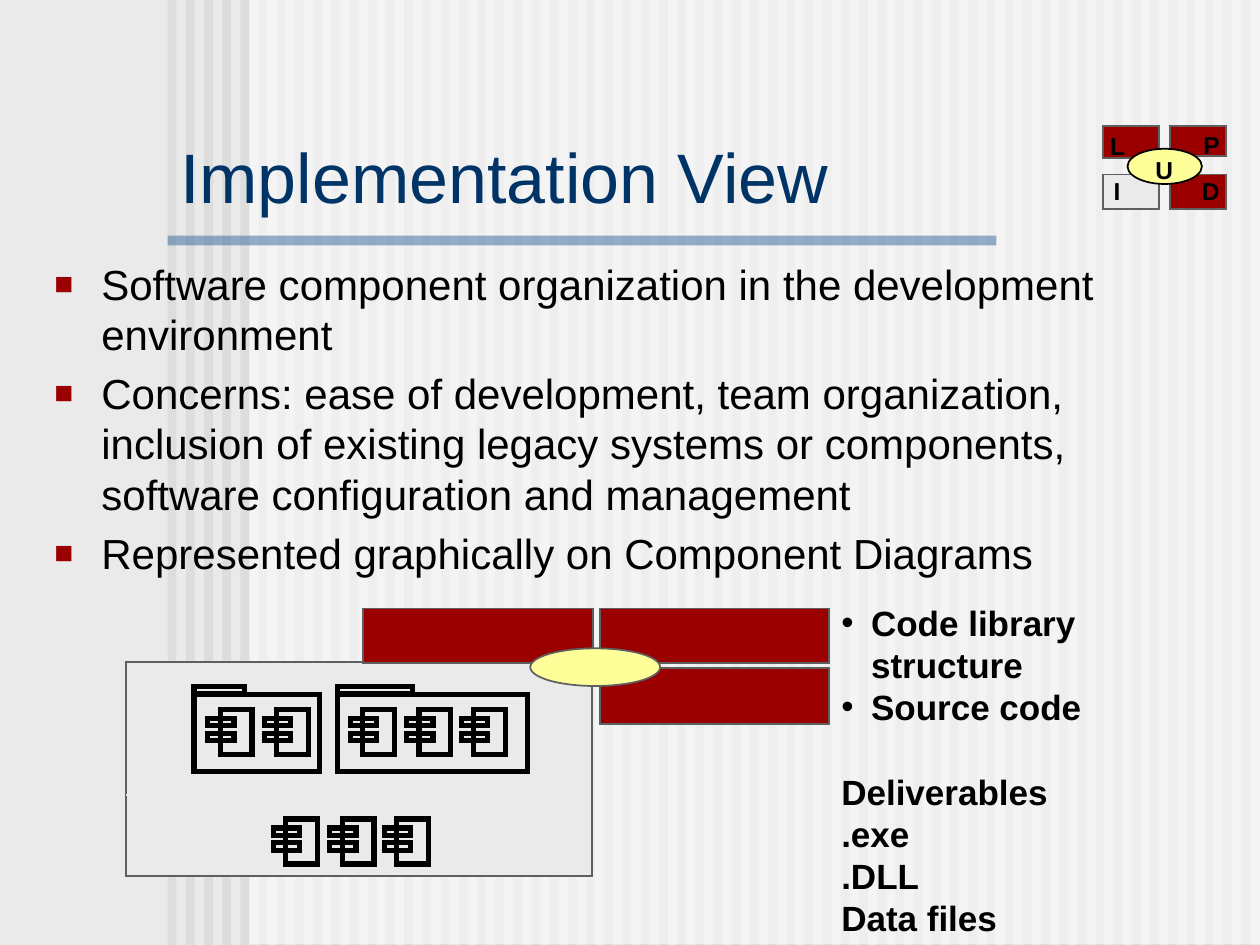
from lxml import etree
from pptx import Presentation
from pptx import util as u
from pptx.dml.color import RGBColor
from pptx.enum import shapes, text
from pptx.oxml import ns

Cm, Pt = u.Cm, u.Pt
hexa = RGBColor.from_string
RECT, OVAL = shapes.MSO_SHAPE.RECTANGLE, shapes.MSO_SHAPE.OVAL
RED, GREY, PALE, CREAM, BLACK = "9A0000", "5F5F5F", "EAEAEA", "FFFF99", "000000"

prs = Presentation()
prs.slide_width, prs.slide_height = Cm(25.4), Cm(19.05)
slide = prs.slides.add_slide(prs.slide_layouts[1])
slide.background.fill.solid()
slide.background.fill.fore_color.rgb = hexa(PALE)


def draw(x, y, w, h, fill=None, line=None, width=1, kind=RECT, alpha=None):
    """Add a shape, with lengths in centimetres and alpha in percent."""
    shape = slide.shapes.add_shape(kind, Cm(x), Cm(y), Cm(w), Cm(h))
    shape.shadow.inherit = False
    if fill:
        shape.fill.solid()
        shape.fill.fore_color.rgb = hexa(fill)
    else:
        shape.fill.background()
    if line:
        shape.line.color.rgb = hexa(line)
        shape.line.width = Pt(width)
        edge = shape.element.spPr.find(ns.qn("a:ln"))
        etree.SubElement(edge, ns.qn("a:miter"), lim="800000")
    else:
        shape.line.fill.background()
    if alpha:
        tint = shape.element.spPr.find(".//" + ns.qn("a:srgbClr"))
        etree.SubElement(tint, ns.qn("a:alpha"), val=str(alpha * 1000))


def bullet(para, char, indent, color=BLACK, size=100):
    """Give a paragraph a hanging bullet."""
    props = para._p.get_or_add_pPr()
    props.set("marL", str(Cm(indent)))
    props.set("indent", str(-Cm(indent)))
    tint = etree.SubElement(props, ns.qn("a:buClr"))
    etree.SubElement(tint, ns.qn("a:srgbClr"), val=color)
    etree.SubElement(props, ns.qn("a:buSzPct"), val=str(size * 1000))
    etree.SubElement(props, ns.qn("a:buFont"), typeface="Arial")
    etree.SubElement(props, ns.qn("a:buChar"), char=char)


# Striped backdrop and title rule
for i in range(60):
    draw(3.38 + i * 21.64 / 59, 0, 0.18, 19.05, "DDDDDD")
draw(5.03, 0, 20.37, 19.03, "FFFFFF", alpha=50)
draw(3.38, 4.75, 16.71, 0.2, "336699", alpha=50)

# Code and deliverables list
notes = slide.shapes.add_textbox(Cm(16.71), Cm(12.01), Cm(8.13), Cm(6.17))
frame = notes.text_frame
frame.word_wrap = True
frame.text = "Code library structure\nSource code\nDeliverables\n.exe\n.DLL\nData files"
for i, para in enumerate(frame.paragraphs):
    if i < 2:
        bullet(para, "•", 0.6)
    if i == 2:
        para.space_before = Pt(24)
    font = para.runs[0].font
    font.name, font.size, font.bold = "Arial", Pt(20), True
    font.color.rgb = hexa(BLACK)

# Small map of the views
for x, y, h, fill in [(22.23, 2.54, 0.64, RED), (23.58, 2.54, 0.61, RED),
                      (22.23, 3.52, 0.69, PALE), (23.58, 3.52, 0.69, RED)]:
    draw(x, y, 1.14, h, fill, GREY)
draw(22.73, 3, 1.5, 0.71, CREAM, BLACK, kind=OVAL)
for name, x, y in [("L", 22.38, 2.64), ("P", 24.26, 2.62), ("I", 22.45, 3.54),
                   ("D", 24.23, 3.54), ("U", 23.29, 3.13)]:
    label = slide.shapes.add_textbox(Cm(x), Cm(y), Cm(0.36), Cm(0.58))
    frame = label.text_frame
    frame.margin_left = frame.margin_right = 0
    frame.margin_top = frame.margin_bottom = 0
    frame.word_wrap = False
    frame.text = name
    font = frame.paragraphs[0].runs[0].font
    font.name, font.size, font.bold = "Arial", Pt(14), True
    font.color.rgb = hexa(BLACK)

# Large map, with the implementation view opened
draw(2.54, 13.34, 9.4, 4.32, PALE, GREY)
for x, y, h in [(12.09, 13.46, 1.14), (12.09, 12.27, 1.09), (7.32, 12.27, 1.09)]:
    draw(x, y, 4.63, h, RED, GREY)
draw(10.69, 13.07, 2.62, 0.76, CREAM, GREY, kind=OVAL)
split = slide.shapes.add_connector(
    shapes.MSO_CONNECTOR.STRAIGHT, Cm(2.54), Cm(16.03), Cm(11.86), Cm(16.03))
split.line.color.rgb = hexa(PALE)
split.line.width = Pt(1)
etree.SubElement(split.element.spPr, ns.qn("a:effectLst"))

# Packages
for x, w, tab in [(3.91, 2.54, 1.02), (6.8, 3.83, 1.52)]:
    draw(x, 14, w, 1.55, line=BLACK, width=3)
    draw(x, 13.84, tab, 0.15, line=BLACK, width=3)

# Components
for y, row in [(14.3, [4.19, 5.33, 7.06, 8.2, 9.3]), (16.51, [5.51, 6.65, 7.75])]:
    for x in row:
        draw(x + 0.25, y, 0.64, 0.91, line=BLACK, width=3)
        for drop in (0.18, 0.48):
            draw(x, y + drop, 0.53, 0.15, line=BLACK, width=3)

# Title and body, brought to the front
title, body = slide.shapes.title, slide.placeholders[1]
title.text_frame.text = "Implementation View"
body.text_frame.text = "\n".join([
    "Software component organization in the development environment",
    "Concerns: ease of development, team organization, inclusion of existing "
    "legacy systems or components, software configuration and management",
    "Represented graphically on Component Diagrams"])
for holder, x, y, w, h, size, color, anchor in [
        (title, 3.38, 2.76, 18.62, 1.75, 40, "003366", text.MSO_ANCHOR.BOTTOM),
        (body, 0.84, 5.08, 23.5, 7.67, 24, BLACK, text.MSO_ANCHOR.TOP)]:
    holder.left, holder.top, holder.width, holder.height = Cm(x), Cm(y), Cm(w), Cm(h)
    slide.shapes.element.append(holder.element)
    frame = holder.text_frame
    frame.auto_size = text.MSO_AUTO_SIZE.NONE
    frame.vertical_anchor = anchor
    for para in frame.paragraphs:
        para.alignment = text.PP_ALIGN.LEFT
        font = para.runs[0].font
        font.name, font.size = "Arial", Pt(size)
        font.color.rgb = hexa(color)
for para in body.text_frame.paragraphs:
    para.space_before = Pt(4.8)
    bullet(para, "■", 0.95, RED, 75)

prs.save("out.pptx")
